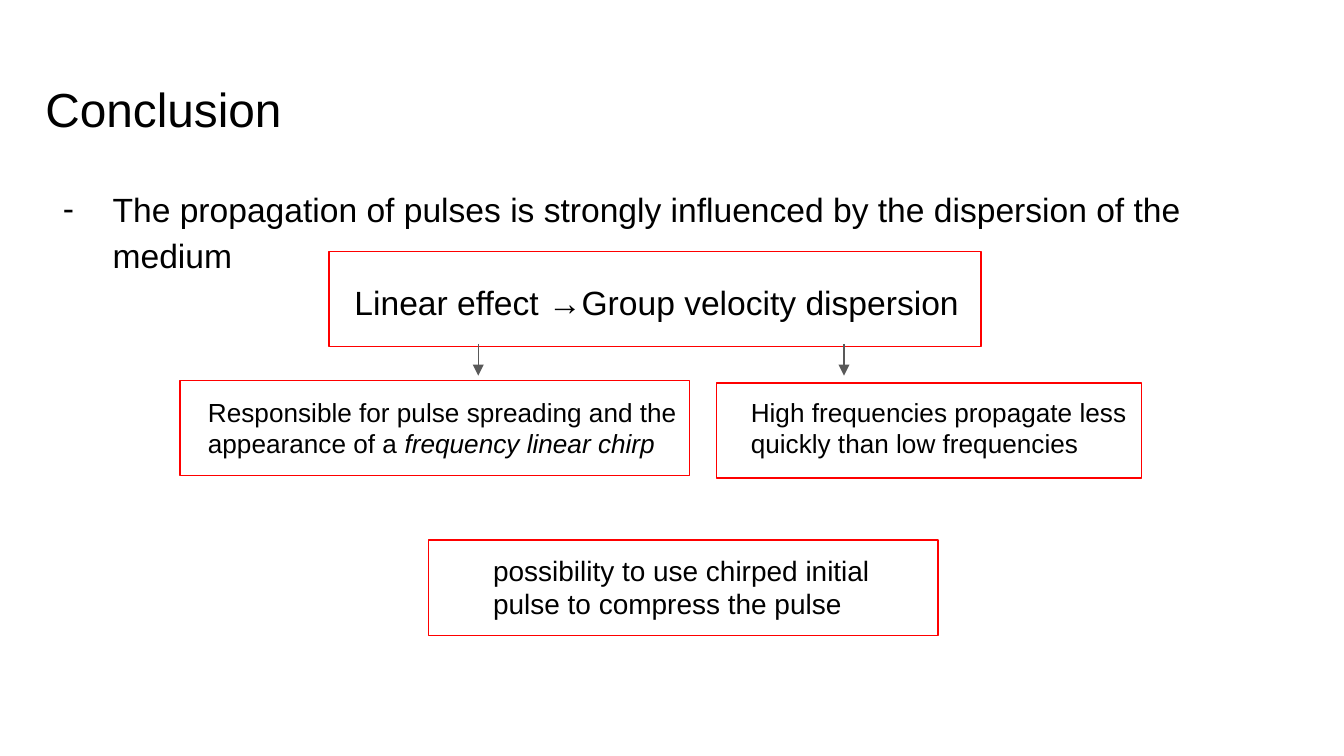
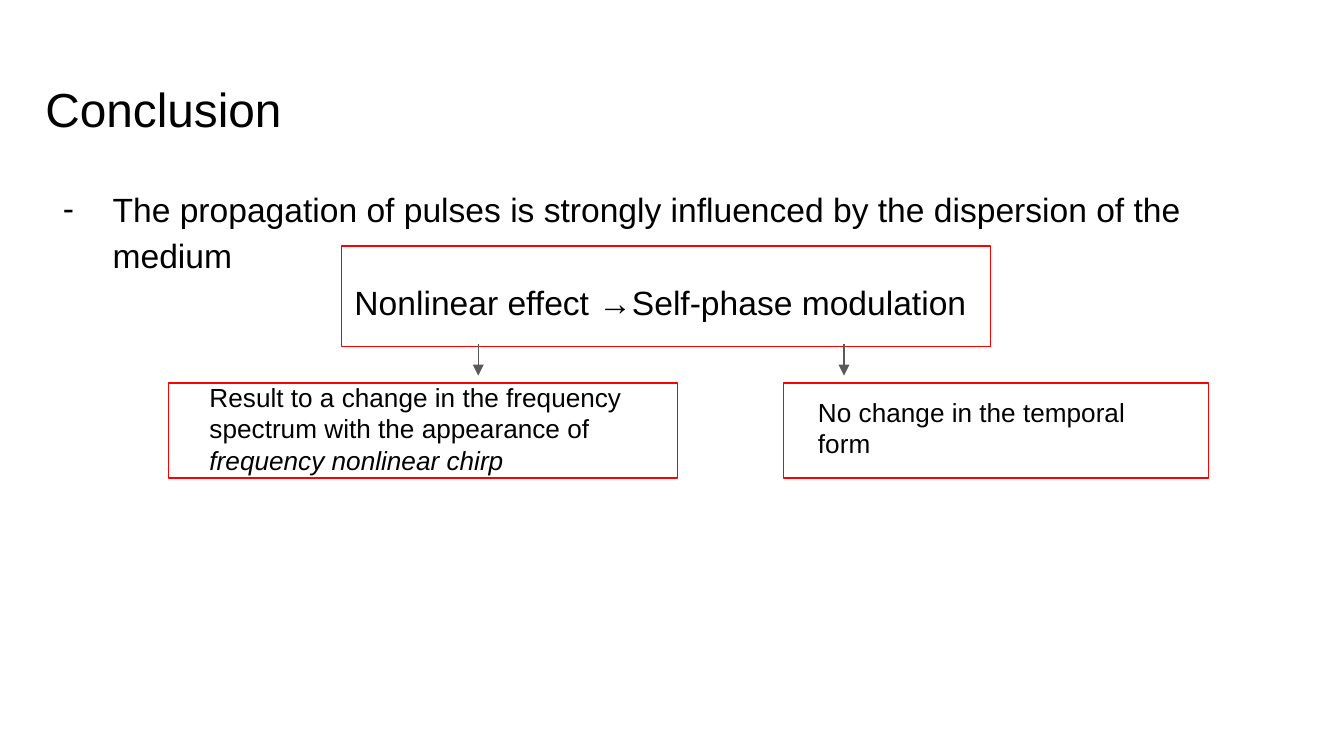
import dataclasses

import pptx
import pptx.dml.color
import pptx.enum.shapes
import pptx.enum.text
import pptx.oxml
import pptx.oxml.ns
import pptx.presentation
import pptx.shapes.autoshape
import pptx.slide
import pptx.text.text
import pptx.util
from pptx.util import Cm

FONT = "Arial"
BLACK = "000000"
RED = "FF0000"
GREY = "595959"
LINE_WIDTH = pptx.util.Pt(0.75)
INSET = Cm(0.25)

ARROW_TOP, ARROW_BOTTOM = Cm(6.5), Cm(7.1)
ARROW_POSITIONS = (Cm(9.04), Cm(15.95))
FRAME_HEIGHT = Cm(1.8)
LEFT_WIDTH, RIGHT_WIDTH = Cm(9.63), Cm(8.03)
NOTE_WIDTH = Cm(8.33)
NOTE_TOP = Cm(7.24)


@dataclasses.dataclass(frozen=True)
class Area:
    left: int
    top: int
    width: int
    height: int


@dataclasses.dataclass(frozen=True)
class Label:
    area: Area
    text: str
    size: float
    emphasis: str = ""
    indent: int = 0
    side_inset: int = INSET


@dataclasses.dataclass(frozen=True)
class Conclusion:
    labels: tuple[Label, ...]
    frames: tuple[Area, ...]


TITLE = Label(Area(Cm(0.86), Cm(1.24), Cm(23.67), Cm(1.6)), "Conclusion", 25.6, side_inset=0)
STATEMENT = Label(
    Area(Cm(0.86), Cm(3.2), Cm(23.67), Cm(2.46)),
    "The propagation of pulses is strongly influenced by the dispersion of the medium",
    18,
    indent=Cm(1.27),
    side_inset=0,
)
EFFECT_AREA = Area(Cm(6.45), Cm(5.08), Cm(12.9), Cm(1.47))

CONCLUSIONS = (
    Conclusion(
        labels=(
            Label(EFFECT_AREA, "Linear effect →Group velocity dispersion", 18),
            Label(
                Area(Cm(13.94), NOTE_TOP, NOTE_WIDTH, Cm(1.7)),
                "High frequencies propagate less quickly than low frequencies",
                14,
            ),
            Label(
                Area(Cm(3.68), NOTE_TOP, LEFT_WIDTH, Cm(1.7)),
                "Responsible for pulse spreading and the appearance of a ",
                14,
                emphasis="frequency linear chirp",
            ),
            Label(
                Area(Cm(9.07), Cm(10.21), NOTE_WIDTH, Cm(1.78)),
                "possibility to use chirped initial pulse to compress the pulse",
                15,
            ),
        ),
        frames=(
            Area(Cm(6.22), Cm(4.75), Cm(12.32), FRAME_HEIGHT),
            Area(Cm(3.4), Cm(7.19), LEFT_WIDTH, FRAME_HEIGHT),
            Area(Cm(13.54), NOTE_TOP, RIGHT_WIDTH, FRAME_HEIGHT),
            Area(Cm(8.1), Cm(10.21), LEFT_WIDTH, FRAME_HEIGHT),
        ),
    ),
    Conclusion(
        labels=(
            Label(EFFECT_AREA, "Nonlinear effect →Self-phase modulation", 18),
            Label(
                Area(Cm(13.94), NOTE_TOP, NOTE_WIDTH, Cm(2.29)),
                "No change in the temporal form",
                14,
                indent=Cm(1.27),
            ),
            Label(
                Area(Cm(3.71), Cm(6.96), LEFT_WIDTH, Cm(2.29)),
                "Result to a change in the frequency spectrum with the appearance of ",
                14,
                emphasis="frequency nonlinear chirp",
            ),
        ),
        frames=(
            Area(Cm(6.45), Cm(4.65), Cm(12.27), Cm(1.9)),
            Area(Cm(3.18), NOTE_TOP, LEFT_WIDTH, FRAME_HEIGHT),
            Area(Cm(14.81), NOTE_TOP, RIGHT_WIDTH, FRAME_HEIGHT),
        ),
    ),
)


def color(value: str) -> pptx.dml.color.RGBColor:
    return pptx.dml.color.RGBColor.from_string(value)


def add_child(parent: pptx.oxml.xmlchemy.BaseOxmlElement, tag: str, **attributes: str) -> None:
    child = pptx.oxml.parse_xml(f"<{tag} {pptx.oxml.ns.nsdecls('a')}/>")
    for name, value in attributes.items():
        child.set(name, value)
    parent.append(child)


def add_run(paragraph: pptx.text.text._Paragraph, text: str, size: float, italic: bool) -> None:
    run = paragraph.add_run()
    run.text = text
    run.font.name = FONT
    run.font.size = pptx.util.Pt(size)
    run.font.italic = italic
    run.font.color.rgb = color(BLACK)


def add_label(slide: pptx.slide.Slide, label: Label) -> pptx.shapes.autoshape.Shape:
    area = label.area
    shape = slide.shapes.add_textbox(area.left, area.top, area.width, area.height)
    frame = shape.text_frame
    frame.word_wrap = True
    frame.margin_left = frame.margin_right = label.side_inset
    frame.margin_top = frame.margin_bottom = INSET
    paragraph = frame.paragraphs[0]
    if label.indent:
        paragraph._p.get_or_add_pPr().set("marL", str(label.indent))
    add_run(paragraph, label.text, label.size, italic=False)
    if label.emphasis:
        add_run(paragraph, label.emphasis, label.size, italic=True)
    return shape


def add_statement(slide: pptx.slide.Slide) -> None:
    """Add the dashed sentence with a hanging indent."""
    paragraph = add_label(slide, STATEMENT).text_frame.paragraphs[0]
    paragraph.line_spacing = 1.15
    properties = paragraph._p.get_or_add_pPr()
    properties.set("indent", str(-Cm(0.94)))
    add_child(properties, "a:buFont", typeface=FONT)
    add_child(properties, "a:buChar", char="-")


def add_frame(slide: pptx.slide.Slide, area: Area) -> None:
    shape = slide.shapes.add_shape(
        pptx.enum.shapes.MSO_SHAPE.RECTANGLE, area.left, area.top, area.width, area.height
    )
    shape.shadow.inherit = False
    shape.fill.background()
    shape.line.color.rgb = color(RED)
    shape.line.width = LINE_WIDTH


def add_arrow(slide: pptx.slide.Slide, x: int) -> None:
    connector = slide.shapes.add_connector(
        pptx.enum.shapes.MSO_CONNECTOR.STRAIGHT, x, ARROW_TOP, x, ARROW_BOTTOM
    )
    connector.line.color.rgb = color(GREY)
    connector.line.width = LINE_WIDTH
    add_child(connector.line._get_or_add_ln(), "a:tailEnd", type="triangle")
    add_child(connector._element.spPr, "a:effectLst")


def add_conclusion(
    presentation: pptx.presentation.Presentation, conclusion: Conclusion
) -> None:
    slide = presentation.slides.add_slide(presentation.slide_layouts[6])
    title = add_label(slide, TITLE)
    title.text_frame.vertical_anchor = pptx.enum.text.MSO_ANCHOR.BOTTOM
    add_statement(slide)
    for label in conclusion.labels:
        add_label(slide, label)
    for area in conclusion.frames:
        add_frame(slide, area)
    for x in ARROW_POSITIONS:
        add_arrow(slide, x)


def main() -> None:
    presentation = pptx.Presentation()
    presentation.slide_width = Cm(25.4)
    presentation.slide_height = Cm(14.29)
    for conclusion in CONCLUSIONS:
        add_conclusion(presentation, conclusion)
    presentation.save("out.pptx")


if __name__ == "__main__":
    main()
